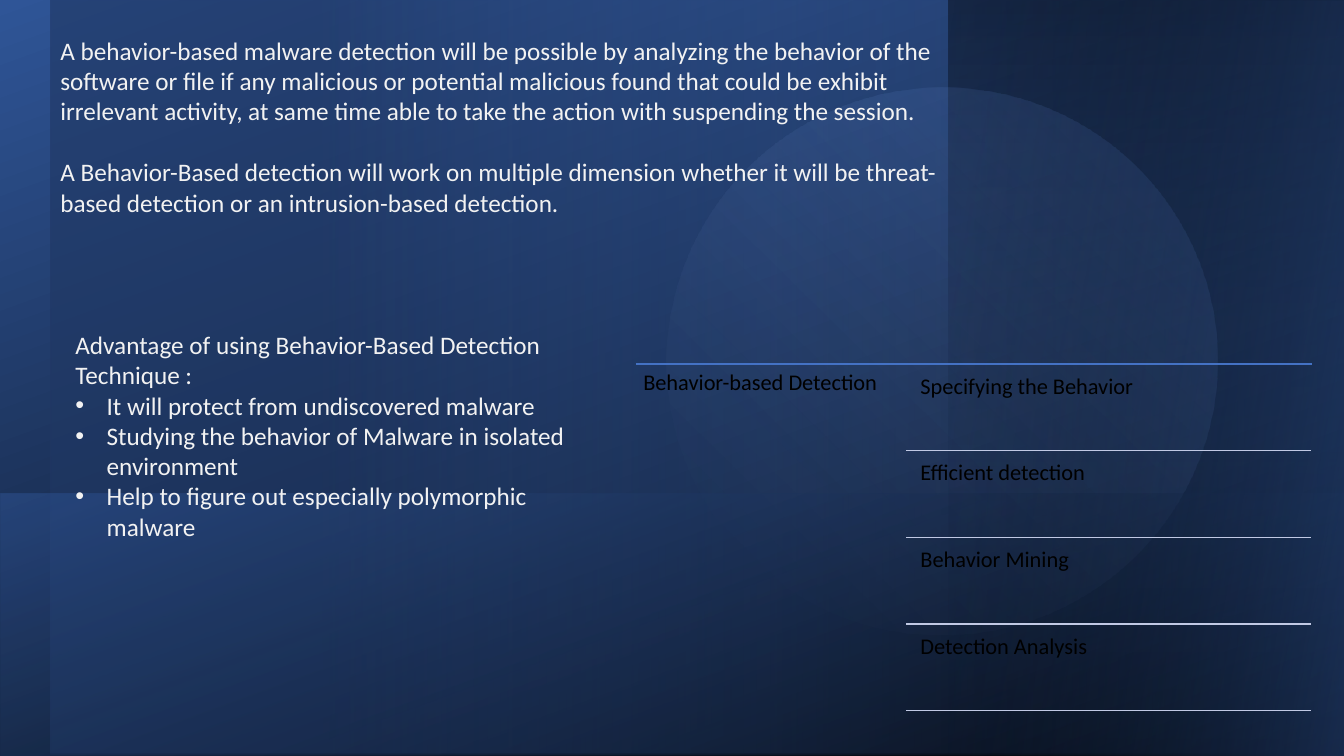
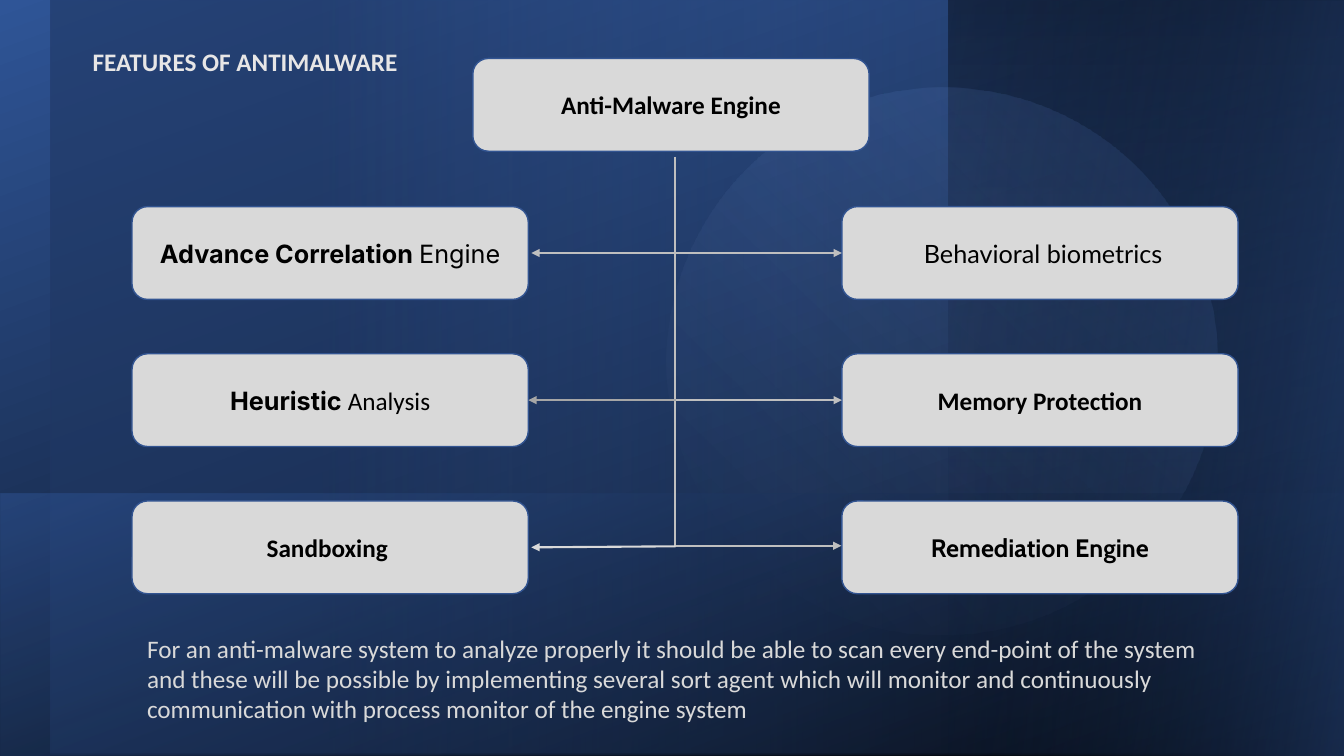
"""Build two slides on behavior-based malware detection and anti-malware features."""
from dataclasses import dataclass
from typing import Optional

from lxml import etree
from pptx import Presentation
from pptx import util as u
from pptx.dml.color import RGBColor
from pptx.enum import shapes, text
from pptx.oxml.ns import qn

BLACK = RGBColor(0x00, 0x00, 0x00)
NAVY = RGBColor(0x20, 0x38, 0x64)
DEEP_BLUE = RGBColor(0x2F, 0x55, 0x97)
BLUE = RGBColor(0x44, 0x72, 0xC4)
SKY = RGBColor(0x8F, 0xAA, 0xDC)
RULE = RGBColor(0xC1, 0xC9, 0xE4)
EDGE = RGBColor(0x32, 0x54, 0x91)
LIGHT = RGBColor(0xD9, 0xD9, 0xD9)
SILVER = RGBColor(0xBF, 0xBF, 0xBF)
GREY = RGBColor(0xA6, 0xA6, 0xA6)
BODY = RGBColor(0xF2, 0xF2, 0xF2)
HEADING = RGBColor(0xE7, 0xE6, 0xE6)

RECT = shapes.MSO_SHAPE.RECTANGLE
OVAL = shapes.MSO_SHAPE.OVAL
LINE_PITCH = 22
BOX_W, BOX_H = 3.93, 0.92
LEFT_X, RIGHT_X = 1.31, 8.35
FIRST_ROW, ROW_PITCH = 2.05, 1.46
TRUNK_X = 6.7


@dataclass
class Stop:
    at: int
    color: RGBColor
    opacity: int = 100


@dataclass
class Panel:
    frame: tuple[float, float, float, float]
    stops: tuple[Stop, Stop]
    angle: int
    kind: shapes.MSO_SHAPE = RECT
    rotation: float = 0
    flipped: bool = False


@dataclass
class Run:
    words: str
    font: str = "Calibri"
    bold: bool = False
    size: int = 18
    color: RGBColor = BLACK


@dataclass
class Para:
    runs: list[Run]
    bullet: bool = False
    space_after: int = 0
    line_spacing: Optional[float] = None


@dataclass
class Link:
    start: tuple[float, float]
    end: tuple[float, float]
    color: RGBColor
    width: float = 1.5
    heads: tuple[str, ...] = ("tailEnd",)


PANELS = [
    Panel((0, 0, 13.33, 7.5), (Stop(0, BLACK), Stop(100, DEEP_BLUE)), 250),
    Panel((0.5, 0, 12.85, 7.48), (Stop(21, NAVY, 61), Stop(100, BLUE, 0)), 0,
          rotation=180, flipped=True),
    Panel((9.41, 0, 3.95, 7.5), (Stop(0, DEEP_BLUE, 0), Stop(99, BLACK, 41)), 270),
    Panel((6.63, 0.85, 5.43, 5.46), (Stop(0, BLUE, 24), Stop(79, SKY, 0)), 240,
          kind=OVAL, rotation=254.6),
    Panel((0.01, 4.9, 13.32, 2.6), (Stop(0, DEEP_BLUE, 50), Stop(99, BLACK, 34)), 290,
          rotation=180, flipped=True),
    Panel((7.62, 1.79, 7.5, 3.93), (Stop(0, DEEP_BLUE, 50), Stop(99, BLACK, 0)), 260,
          rotation=270, flipped=True),
]

INTRO = [
    "A behavior-based malware detection will be possible by analyzing the behavior of the "
    "software or file if any malicious or potential malicious found that could be exhibit "
    "irrelevant activity, at same time able to take the action with suspending the session.",
    "A Behavior-Based detection will work on multiple dimension whether it will be "
    "threat-based detection or an intrusion-based detection.",
]
ADVANTAGE_TITLE = "Advantage of using Behavior-Based Detection Technique :"
ADVANTAGES = [
    "It will protect from undiscovered malware",
    "Studying the behavior of Malware in isolated environment",
    "Help to figure out especially polymorphic malware",
]
STAGES = ["Specifying the Behavior", "Efficient detection", "Behavior Mining", "Detection Analysis"]
STAGE_TOP, STAGE_PITCH = 3.61, 0.86

ENGINE = [Run("Anti-Malware Engine", bold=True)]
FEATURE_ROWS = [
    ([Run("Advance Correlation ", "Inter", True), Run("Engine", "Inter")],
     [Run(" Behavioral biometrics", "Lato")]),
    ([Run("Heuristic ", "Inter", True), Run("Analysis")],
     [Run("Memory Protection", bold=True)]),
    ([Run("Sandboxing ", bold=True)],
     [Run("Remediation Engine", "Cabin", True)]),
]
FEATURE_LINKS = [
    Link((TRUNK_X, 3.97), (RIGHT_X, 3.97), SILVER),
    Link((TRUNK_X, 5.42), (5.27, 5.43), LIGHT),
    Link((TRUNK_X, 3.97), (5.24, 3.97), GREY),
    Link((5.27, 2.51), (RIGHT_X, 2.51), SILVER, heads=("headEnd", "tailEnd")),
]
SUMMARY = (
    "For an anti-malware system to analyze properly it should be able to scan every end-point "
    "of the system and these will be possible by implementing several sort agent which will "
    "monitor and continuously communication with process monitor of the engine system"
)


def apply(target, values: dict) -> None:
    """Set each named attribute on the target."""
    for name, value in values.items():
        setattr(target, name, value)


def inches(*lengths: float) -> list[u.Length]:
    """Turn plain numbers into lengths."""
    return [u.Inches(length) for length in lengths]


def draw_panel(slide, panel: Panel) -> None:
    """Draw a translucent gradient panel of the backdrop."""
    shape = slide.shapes.add_shape(panel.kind, *inches(*panel.frame))
    shape.shadow.inherit = False
    shape.rotation = panel.rotation
    shape.line.fill.background()
    shape.fill.gradient()
    properties = shape._element.spPr
    if panel.flipped:
        properties.find(qn("a:xfrm")).set("flipH", "1")
    gradient = properties.find(qn("a:gradFill"))
    stop_list = gradient.find(qn("a:gsLst"))
    for preset in list(stop_list):
        stop_list.remove(preset)
    for stop in panel.stops:
        entry = etree.SubElement(stop_list, qn("a:gs"), pos=str(stop.at * 1000))
        color = etree.SubElement(entry, qn("a:srgbClr"), val=str(stop.color))
        etree.SubElement(color, qn("a:alpha"), val=str(stop.opacity * 1000))
    gradient.find(qn("a:lin")).set("ang", str(panel.angle * 60000))


def fill_text(frame, paragraphs: list[Para], align=text.PP_ALIGN.LEFT) -> None:
    """Write formatted paragraphs into a text frame."""
    frame.word_wrap = True
    for index, content in enumerate(paragraphs):
        paragraph = frame.add_paragraph() if index else frame.paragraphs[0]
        apply(paragraph, {"alignment": align, "space_after": u.Pt(content.space_after),
                          "line_spacing": content.line_spacing})
        if content.bullet:
            properties = paragraph._p.get_or_add_pPr()
            indent = u.Inches(0.31)
            properties.set("marL", str(indent))
            properties.set("indent", str(-indent))
            etree.SubElement(properties, qn("a:buFont"), typeface="Arial")
            etree.SubElement(properties, qn("a:buChar"), char="•")
        for part in content.runs:
            run = paragraph.add_run()
            run.text = part.words
            apply(run.font, {"name": part.font, "size": u.Pt(part.size), "bold": part.bold})
            run.font.color.rgb = part.color


def draw_text(slide, frame: tuple, paragraphs: list[Para], inset: Optional[float] = None) -> None:
    """Add a wrapping text box."""
    text_frame = slide.shapes.add_textbox(*inches(*frame)).text_frame
    if inset is not None:
        sides = ("left", "top", "right", "bottom")
        apply(text_frame, {f"margin_{side}": u.Inches(inset) for side in sides})
    fill_text(text_frame, paragraphs)


def draw_link(slide, link: Link):
    """Draw a straight line with optional arrowheads."""
    connector = slide.shapes.add_connector(
        shapes.MSO_CONNECTOR.STRAIGHT, *inches(*link.start, *link.end))
    connector.line.color.rgb = link.color
    connector.line.width = u.Pt(link.width)
    outline = connector.line._get_or_add_ln()
    for head in link.heads:
        etree.SubElement(outline, qn(f"a:{head}"), type="triangle")
    etree.SubElement(connector._element.spPr, qn("a:effectLst"))
    return connector


def draw_trunk(slide) -> None:
    """Draw the bent arrow from the engine down to the last feature."""
    trunk = draw_link(slide, Link((5.59, 2.66), (9.45, 4.31), SILVER))
    properties = trunk._element.spPr
    properties.find(qn("a:prstGeom")).set("prst", "bentConnector2")
    apply(properties.find(qn("a:xfrm")), {"rot": 270, "flipH": True})


def draw_box(slide, left: float, top: float, runs: list[Run]) -> None:
    """Draw a rounded feature box with a centred label."""
    box = slide.shapes.add_shape(
        shapes.MSO_SHAPE.ROUNDED_RECTANGLE, *inches(left, top, BOX_W, BOX_H))
    box.shadow.inherit = False
    box.fill.solid()
    box.fill.fore_color.rgb = LIGHT
    box.line.color.rgb = EDGE
    box.line.width = u.Pt(1)
    box.text_frame.vertical_anchor = text.MSO_ANCHOR.MIDDLE
    fill_text(box.text_frame, [Para(runs)], text.PP_ALIGN.CENTER)


def add_backdrop_slide(deck):
    """Add a blank slide with the shared blue backdrop."""
    slide = deck.slides.add_slide(deck.slide_layouts[6])
    for panel in PANELS:
        draw_panel(slide, panel)
    return slide


def build_detection(deck) -> None:
    """Build the behavior-based detection slide."""
    slide = add_backdrop_slide(deck)
    draw_text(slide, (0.5, 0.3, 8.91, 1.92),
              [Para([Run(words, color=BODY)], space_after=LINE_PITCH) for words in INTRO])
    draw_link(slide, Link((6.31, STAGE_TOP), (13.01, STAGE_TOP), BLUE, 1, ()))
    draw_text(slide, (6.31, STAGE_TOP, 2.68, 3.48),
              [Para([Run("Behavior-based Detection", size=16)], line_spacing=0.9)], 0.07)
    for index, stage in enumerate(STAGES):
        top = STAGE_TOP + index * STAGE_PITCH
        bottom = top + STAGE_PITCH
        draw_text(slide, (9.06, top + 0.04, 3.94, 0.82),
                  [Para([Run(stage, size=16)], line_spacing=0.9)], 0.07)
        draw_link(slide, Link((8.99, bottom), (13, bottom), RULE, 1, ()))
    advantages = [Para([Run(words, color=BODY)], bullet=True) for words in ADVANTAGES]
    draw_text(slide, (0.65, 3.22, 5.33, 2.22),
              [Para([Run(ADVANTAGE_TITLE, color=BODY)]), *advantages])


def build_features(deck) -> None:
    """Build the anti-malware features slide."""
    slide = add_backdrop_slide(deck)
    draw_text(slide, (0.82, 0.41, 3.23, 0.4),
              [Para([Run("FEATURES OF ANTIMALWARE", bold=True, color=HEADING)])])
    draw_box(slide, 4.69, 0.58, ENGINE)
    for row, features in enumerate(FEATURE_ROWS):
        for left, runs in zip((LEFT_X, RIGHT_X), features):
            draw_box(slide, left, FIRST_ROW + row * ROW_PITCH, runs)
    draw_trunk(slide)
    for link in FEATURE_LINKS:
        draw_link(slide, link)
    draw_text(slide, (1.36, 6.23, 10.89, 1.01), [Para([Run(SUMMARY, color=LIGHT)])])


def main() -> None:
    """Build and save the deck."""
    deck = Presentation()
    apply(deck, {"slide_width": u.Inches(13.33), "slide_height": u.Inches(7.5)})
    build_detection(deck)
    build_features(deck)
    deck.save("out.pptx")


if __name__ == "__main__":
    main()
